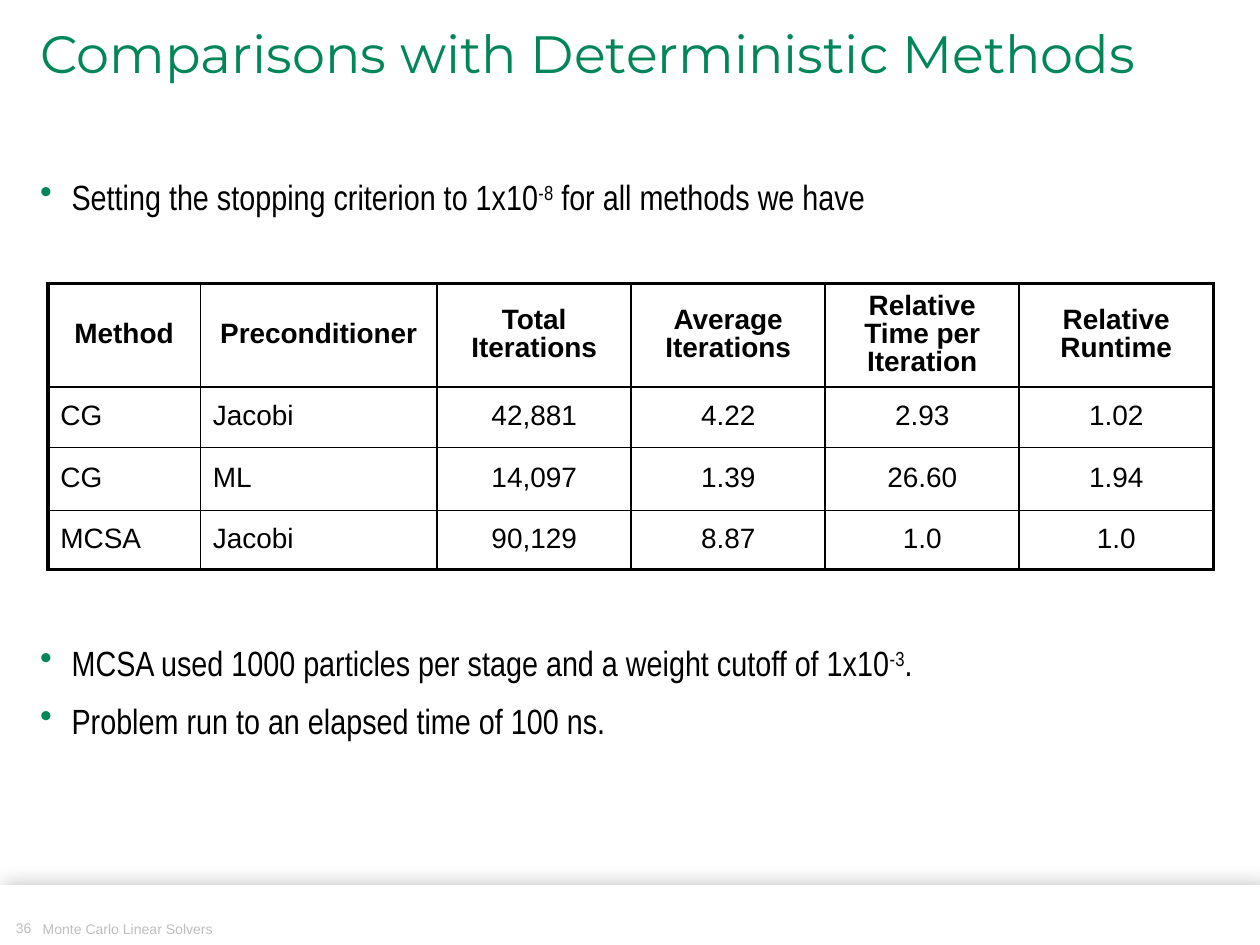
from pptx import Presentation, util as u
from pptx.dml.color import RGBColor
from pptx.enum import shapes, text
from pptx.oxml import parse_xml
from pptx.oxml.ns import nsdecls

COLORS = {"green": "008657", "black": "000000", "white": "FFFFFF", "grey": "BFBFBF"}
UNIT = 0.1  # grid step in inches: 100 columns by 75 rows
COLUMNS, ROWS = 100, 75
CENTER, RIGHT = text.PP_ALIGN.CENTER, text.PP_ALIGN.RIGHT


def grid(count):
    return u.Inches(count * UNIT)


def color(name):
    return RGBColor.from_string(COLORS[name])


def add_xml(parent, content):
    """Append a drawing element, given without its namespace declaration."""
    tag_end = min(content.index(mark) for mark in " />" if mark in content)
    parent.append(parse_xml(f"{content[:tag_end]} {nsdecls('a')}{content[tag_end:]}"))


def write(paragraph, content, font="Arial", size=16, fill="black", bold=False,
          align=None, line_spacing=None, before=None, bullet=None):
    """Fill a paragraph; parts between ^ marks are superscript."""
    paragraph.alignment = align
    paragraph.line_spacing = line_spacing
    if before:
        paragraph.space_before = u.Pt(before)
    if bullet:
        properties = paragraph._p.get_or_add_pPr()
        indent = u.Inches(0.25)
        properties.set("marL", str(indent))
        properties.set("indent", str(-indent))
        add_xml(properties, f'<a:buClr><a:srgbClr val="{COLORS[bullet]}"/></a:buClr>')
        add_xml(properties, '<a:buChar char="•"/>')
    for index, part in enumerate(content.split("^")):
        run = paragraph.add_run()
        run.text = part
        run.font.name, run.font.size, run.font.bold = font, u.Pt(size), bold
        run.font.color.rgb = color(fill)
        if index % 2:
            run.font._element.set("baseline", "30000")


class SlideBuilder:
    def __init__(self, presentation):
        self.slide = presentation.slides.add_slide(presentation.slide_layouts[5])
        self.body_font = "Arial Narrow"
        self.title_font = "Montserrat"

    def title(self, content, left, top, width, height):
        shape = self.slide.shapes.title
        shape.left, shape.top, shape.width, shape.height = map(grid, (left, top, width, height))
        frame = shape.text_frame
        frame.word_wrap = True
        frame.auto_size = text.MSO_AUTO_SIZE.SHAPE_TO_FIT_TEXT
        frame.vertical_anchor = text.MSO_ANCHOR.TOP
        write(frame.paragraphs[0], content, font=self.title_font, size=30, fill="green",
              align=text.PP_ALIGN.LEFT, line_spacing=0.85)

    def text_box(self, left, top, width, height, margin=None):
        frame = self.slide.shapes.add_textbox(*map(grid, (left, top, width, height))).text_frame
        frame.word_wrap = True
        if margin is not None:
            frame.margin_left = frame.margin_right = margin
            frame.margin_top = frame.margin_bottom = margin
        return frame

    def label(self, content, *place, margin=None, **style):
        frame = self.text_box(*place, margin=margin)
        write(frame.paragraphs[0], content, size=8, fill="grey", **style)

    def bullets(self, items, *place):
        """Items are pairs of text and space before in points."""
        frame = self.text_box(*place)
        for index, (content, before) in enumerate(items):
            paragraph = frame.add_paragraph() if index else frame.paragraphs[0]
            write(paragraph, content, font=self.body_font, size=20, line_spacing=0.8,
                  before=before, bullet="green")

    def footer_band(self, top):
        shape = self.slide.shapes.add_shape(
            shapes.MSO_SHAPE.RECTANGLE, 0, grid(top), grid(COLUMNS), grid(ROWS - top))
        shape.fill.solid()
        shape.fill.fore_color.rgb = color("white")
        shape.line.color.rgb = color("white")
        shape.line.width = u.Pt(0.75)
        shape.shadow.inherit = False
        effects = shape._element.spPr.find("{*}effectLst")
        add_xml(effects, f'<a:outerShdw blurRad="{u.Pt(10)}" dist="{u.Pt(3)}" dir="18900000">'
                         f'<a:srgbClr val="{COLORS["black"]}"><a:alpha val="20000"/>'
                         '</a:srgbClr></a:outerShdw>')

    def table(self, rows, left, top, widths, heights):
        table = self.slide.shapes.add_table(
            len(rows), len(widths),
            *map(grid, (left, top, sum(widths), sum(heights)))).table
        table.first_row = table.horz_banding = False
        for column, width in zip(table.columns, widths):
            column.width = grid(width)
        last_row, last_column = len(rows) - 1, len(widths) - 1
        for r, row in enumerate(rows):
            table.rows[r].height = grid(heights[r])
            for c, content in enumerate(row):
                cell = table.cell(r, c)
                cell.vertical_anchor = text.MSO_ANCHOR.MIDDLE
                outer = {"L": c == 0, "R": c == last_column, "T": r == 0, "B": r == last_row}
                self.borders(cell, outer)
                cell.fill.background()
                write(cell.text_frame.paragraphs[0], content, bold=r == 0, line_spacing=0.9,
                      align=CENTER if r == 0 or c > 1 else None)

    def borders(self, cell, outer):
        for side, thick in outer.items():
            width = u.Pt(2.25 if thick else 1)
            add_xml(cell._tc.get_or_add_tcPr(),
                    f'<a:ln{side} w="{width}"><a:solidFill><a:srgbClr val="{COLORS["black"]}"/>'
                    f'</a:solidFill></a:ln{side}>')


def main():
    presentation = Presentation()
    presentation.slide_width, presentation.slide_height = grid(COLUMNS), grid(ROWS)
    builder = SlideBuilder(presentation)

    # Footer
    builder.footer_band(70.3)
    builder.label("36", 0.2, 73.1, 2.3, 1.7, margin=0, align=RIGHT, line_spacing=0.9)
    builder.label("Monte Carlo Linear Solvers", 2.4, 72.6, 31.7, 2)

    # Title and bullets, with room left for the table
    builder.title("Comparisons with Deterministic Methods", 2.2, 1.9, 90, 5.3)
    builder.bullets([
        ("Setting the stopping criterion to 1x10^-8^ for all methods we have", None),
        ("MCSA used 1000 particles per stage and a weight cutoff of 1x10^-3^.", 247),
        ("Problem run to an elapsed time of 100 ns.", 14),
    ], 2.2, 14.1, 90, 45.7)

    # Comparison of methods
    builder.table([
        ["Method", "Preconditioner", "Total Iterations", "Average Iterations",
         "Relative Time per Iteration", "Relative Runtime"],
        ["CG", "Jacobi", "42,881", "4.22", "2.93", "1.02"],
        ["CG", "ML", "14,097", "1.39", "26.60", "1.94"],
        ["MCSA", "Jacobi", "90,129", "8.87", "1.0", "1.0"],
    ], 3.8, 22.5, widths=[12.1, 18.8] + [15.4] * 4, heights=[7.2, 4.8, 5, 4.7])

    presentation.save("out.pptx")


if __name__ == "__main__":
    main()
